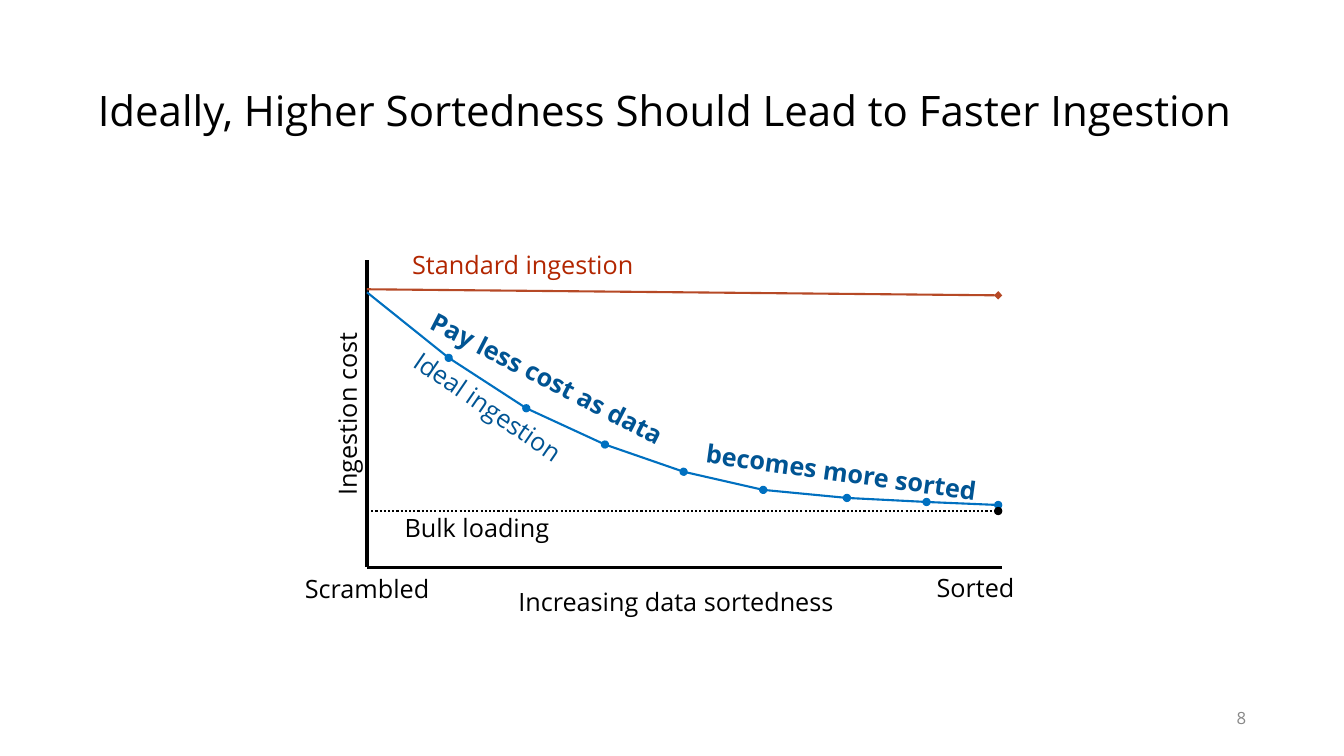
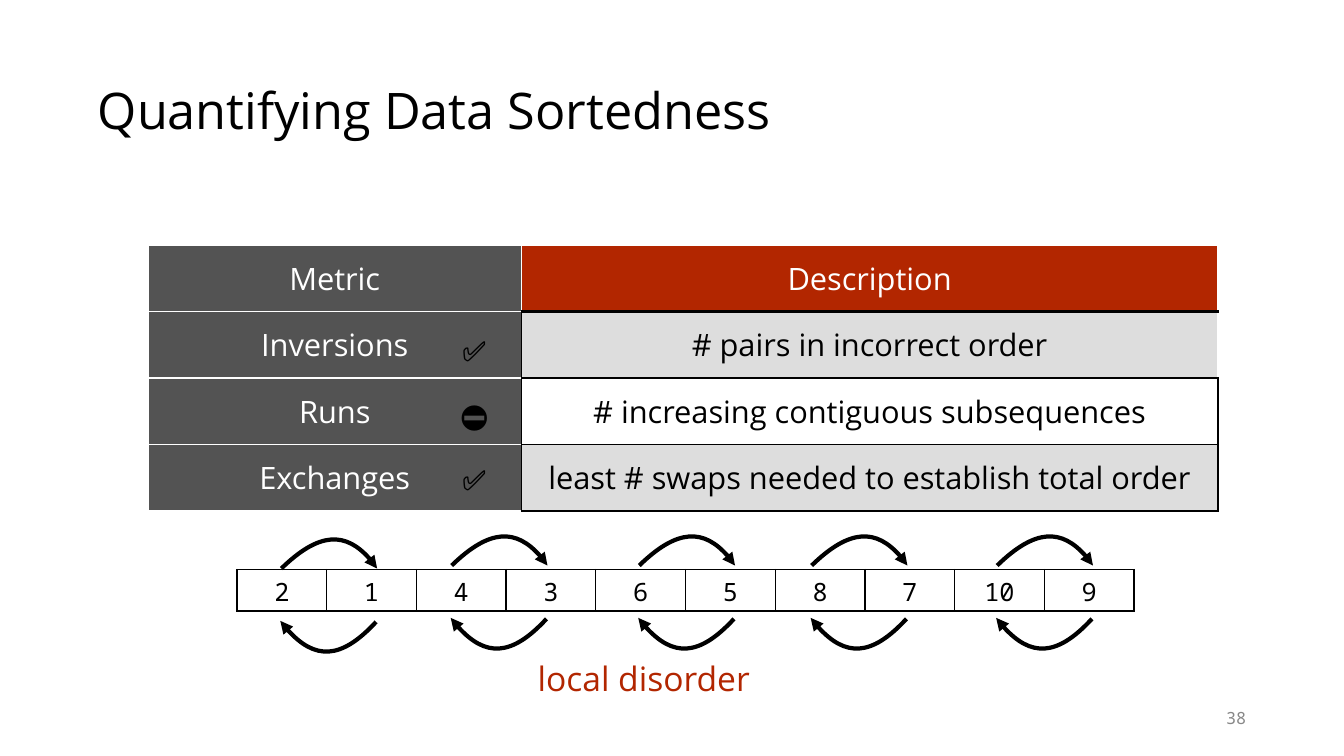
"""Build two slides on data sortedness."""
from dataclasses import dataclass
from itertools import pairwise

from pptx import Presentation
from pptx.dml.color import RGBColor
from pptx.enum.dml import MSO_LINE
from pptx.enum.shapes import MSO_CONNECTOR
from pptx.enum.text import MSO_ANCHOR, MSO_AUTO_SIZE, PP_ALIGN
from pptx.oxml.ns import qn
from pptx.util import Pt
from lxml.etree import SubElement

PX = 9144


@dataclass(frozen=True)
class Theme:
    """Colours, fonts and type sizes of the deck."""
    black: str = "000000"
    white: str = "FFFFFF"
    red: str = "B22600"
    rust: str = "B64926"
    navy: str = "005493"
    blue: str = "0070C0"
    dark: str = "535353"
    light: str = "DDDDDD"
    grey: str = "888888"
    sans: str = "Open Sans"
    mono: str = "Noto Sans Mono"
    title: int = 36
    long_title: int = 30
    caption: int = 24
    cell: int = 22
    mark: int = 20
    label: int = 18
    number: int = 12


T = Theme()


def px(*values):
    """Turn px lengths into EMU."""
    return [round(v * PX) for v in values]


def write(tf, text, size=T.label, color=T.black, font=T.sans, bold=False,
          align=PP_ALIGN.CENTER, anchor=MSO_ANCHOR.TOP, spacing=None):
    """Put one formatted paragraph into a text frame."""
    tf.vertical_anchor = anchor
    p = tf.paragraphs[0]
    p.alignment = align
    if spacing:
        p.line_spacing = spacing
    r = p.add_run()
    r.text = text
    r.font.size, r.font.name, r.font.bold = Pt(size), font, bold
    r.font.color.rgb = RGBColor.from_string(color)


def inset(box, margin):
    """Give a text frame or cell the same margin on all sides."""
    for side in ("left", "top", "right", "bottom"):
        setattr(box, f"margin_{side}", px(margin)[0])


class Deck:
    """Holds the presentation, its style and the current slide."""

    def __init__(self):
        """Start an empty wide presentation."""
        self.prs = Presentation()
        self.prs.slide_width, self.prs.slide_height = px(1333, 750)

    def new_slide(self, title, number, size=T.title, width=1150, font=T.sans):
        """Add a slide with its title and slide number."""
        self.s = self.prs.slides.add_slide(self.prs.slide_layouts[5])
        sp = self.s.shapes.title
        sp.left, sp.top, sp.width, sp.height = px(92, 40, width, 145)
        tf = sp.text_frame
        tf.word_wrap, tf.auto_size = True, MSO_AUTO_SIZE.NONE
        inset(tf, 5)
        write(tf, title, size=size, align=PP_ALIGN.LEFT,
              anchor=MSO_ANCHOR.MIDDLE, spacing=0.9)
        self.text(number, 1200, 697, 41, 30, size=T.number, color=T.grey,
                  font=font, align=PP_ALIGN.RIGHT, anchor=MSO_ANCHOR.MIDDLE)

    def text(self, text, x, y, w, h=40, rotation=0, wrap=False, **style):
        """Add a text box."""
        sp = self.s.shapes.add_textbox(*px(x, y, w, h))
        sp.rotation = rotation
        tf = sp.text_frame
        tf.word_wrap, tf.auto_size = wrap, MSO_AUTO_SIZE.SHAPE_TO_FIT_TEXT
        inset(tf, 5)
        write(tf, text, **style)

    def stroke(self, sp, color, width, dash=None, **ends):
        """Style a line and its headEnd or tailEnd marks."""
        sp.line.color.rgb = RGBColor.from_string(color)
        sp.line.width = Pt(width)
        if dash:
            sp.line.dash_style = dash
        ln = sp.line._get_or_add_ln()
        for tag, kind in ends.items():
            SubElement(ln, qn(f"a:{tag}"), type=kind)

    def line(self, start, end, color=T.black, width=1.5, **style):
        """Add a straight connector."""
        cx = self.s.shapes.add_connector(MSO_CONNECTOR.STRAIGHT,
                                         *px(*start, *end))
        self.stroke(cx, color, width, **style)
        SubElement(cx._element.spPr, qn("a:effectLst"))

    def curve(self, points, **ends):
        """Add an open cubic curve from its four control points."""
        (x0, y0), (x1, y1), (x2, y2), (x3, y3) = points
        crest = ((x0 + 3 * x1 + 3 * x2 + x3) / 8,
                 (y0 + 3 * y1 + 3 * y2 + y3) / 8)
        fb = self.s.shapes.build_freeform(*px(x0, y0))
        fb.add_line_segments([px(*crest), px(x3, y3)], close=False)
        sp = fb.convert_to_shape()
        path = next(sp._element.iter(qn("a:path")))
        for segment in path.findall(qn("a:lnTo")):
            path.remove(segment)
        bezier = SubElement(path, qn("a:cubicBezTo"))
        for point in points[1:]:
            x, y = px(*point)
            SubElement(bezier, qn("a:pt"), x=str(x - sp.left),
                       y=str(y - sp.top))
        sp.fill.background()
        sp.shadow.inherit = False
        self.stroke(sp, T.black, 3, **ends)

    def table(self, x, y, widths, height, rows):
        """Add an unstyled table of texts."""
        frame = self.s.shapes.add_table(
            len(rows), len(widths), *px(x, y, sum(widths), height * len(rows)))
        table = frame.table
        table.first_row = table.horz_banding = False
        for column, width in zip(table.columns, widths):
            column.width = px(width)[0]
        for row in table.rows:
            row.height = px(height)[0]
        return table

    def cell(self, cell, text, borders, fill=None, margin=5, **style):
        """Fill a cell; borders are (colour, width) for left, right, top, bottom."""
        inset(cell, margin)
        anchor = style.pop("anchor", MSO_ANCHOR.TOP)
        write(cell.text_frame, text, **style)
        cell.vertical_anchor = anchor
        tc_pr = cell._tc.get_or_add_tcPr()
        for side, (color, width) in zip("LRTB", borders):
            ln = SubElement(tc_pr, qn(f"a:ln{side}"), w=str(Pt(width)))
            SubElement(SubElement(ln, qn("a:solidFill")), qn("a:srgbClr"),
                       val=color)
        if fill:
            cell.fill.solid()
            cell.fill.fore_color.rgb = RGBColor.from_string(fill)
        else:
            cell.fill.background()


def ingestion_slide(deck):
    """Draw the ideal ingestion cost curve."""
    deck.new_slide("Ideally, Higher Sortedness Should Lead to Faster Ingestion",
                   "8", size=T.long_title, width=1210)
    for text, x, y, w, style in (
        ("Standard ingestion", 398, 242, 241, {"color": T.red}),
        ("Bulk loading", 392, 503, 162, {}),
        ("Ideal ingestion", 389, 383, 190,
         {"color": T.navy, "rotation": 34.4}),
        ("Sorted", 923, 563, 89, {}),
        ("Scrambled", 295, 564, 138, {}),
        ("Increasing data sortedness", 501, 577, 339, {}),
        ("Ingestion cost", 253, 391, 182, {"rotation": 270}),
        ("Pay less cost as data", 403, 355, 279,
         {"color": T.navy, "bold": True, "rotation": 27.2}),
        ("becomes more sorted", 686, 448, 297,
         {"color": T.navy, "bold": True, "rotation": 7.9}),
    ):
        deck.text(text, x, y, w, **style)
    origin = (364, 563)
    deck.line(origin, (994, 563), width=2.5)
    deck.line((364, 258), origin, width=2.5)
    deck.line((364, 287), (990, 293), color=T.rust, tailEnd="diamond")
    ideal = [(364, 290), (445, 355), (522, 405), (600, 441), (678, 468),
             (757, 486), (840, 494), (919, 498), (990, 501)]
    for start, end in pairwise(ideal):
        deck.line(start, end, color=T.blue, tailEnd="oval")
    deck.line((364, 507), (990, 507), dash=MSO_LINE.ROUND_DOT, tailEnd="oval")


def metrics_slide(deck):
    """Draw the sortedness metrics and an example array."""
    deck.new_slide("Quantifying Data Sortedness", "38", font=T.mono)
    thin, thick, pale = (T.black, 1), (T.black, 3), (T.white, 1)

    metrics = [("Metric", "Description"),
               ("Inversions", "# pairs in incorrect order"),
               ("Runs", "# increasing contiguous subsequences"),
               ("Exchanges", "least # swaps needed to establish total order")]
    looks = [(T.red, T.white, (pale, pale, pale, thick)),
             (T.light, T.black, (thin, pale, thick, thin)),
             (T.white, T.black, (thin,) * 4),
             (T.light, T.black, (thin,) * 4)]
    table = deck.table(147, 243, [370, 691], 66, metrics)
    style = {"margin": 0, "size": T.cell, "anchor": MSO_ANCHOR.MIDDLE}
    for i, ((metric, description), (fill, color, borders)) in enumerate(
            zip(metrics, looks)):
        deck.cell(table.cell(i, 0), metric, (pale, borders[0], pale, pale),
                  fill=T.dark, color=T.white, **style)
        deck.cell(table.cell(i, 1), description, borders, fill=fill,
                  color=color, **style)
    for i, mark in enumerate("✅ ⛔️ ✅".split()):
        deck.text(mark, 451, 326 + 64 * i, 39, 44, wrap=True, size=T.mark)

    values = "2 1 4 3 6 5 8 7 10 9".split()
    array = deck.table(235, 565, [89] * len(values), 41, [values])
    for i, value in enumerate(values):
        deck.cell(array.cell(0, i), value, (thin, thin, thin, (T.black, 2)),
                  font=T.mono)
    deck.text("local disorder", 522, 648, 233, 50, size=T.caption, color=T.red)

    above = [(0, 0), (38, -37), (70, -37), (95, 0)]
    below = [(-1, 52), (28, 91), (59, 91), (94, 53)]
    for x, y in ((279, 564), (448, 561), (634, 561), (805, 561), (989, 561)):
        for points, end in ((above, "tailEnd"), (below, "headEnd")):
            deck.curve([(x + dx, y + dy) for dx, dy in points],
                       **{end: "triangle"})


def main():
    """Build and save the deck."""
    deck = Deck()
    ingestion_slide(deck)
    metrics_slide(deck)
    deck.prs.save("out.pptx")


if __name__ == "__main__":
    main()
